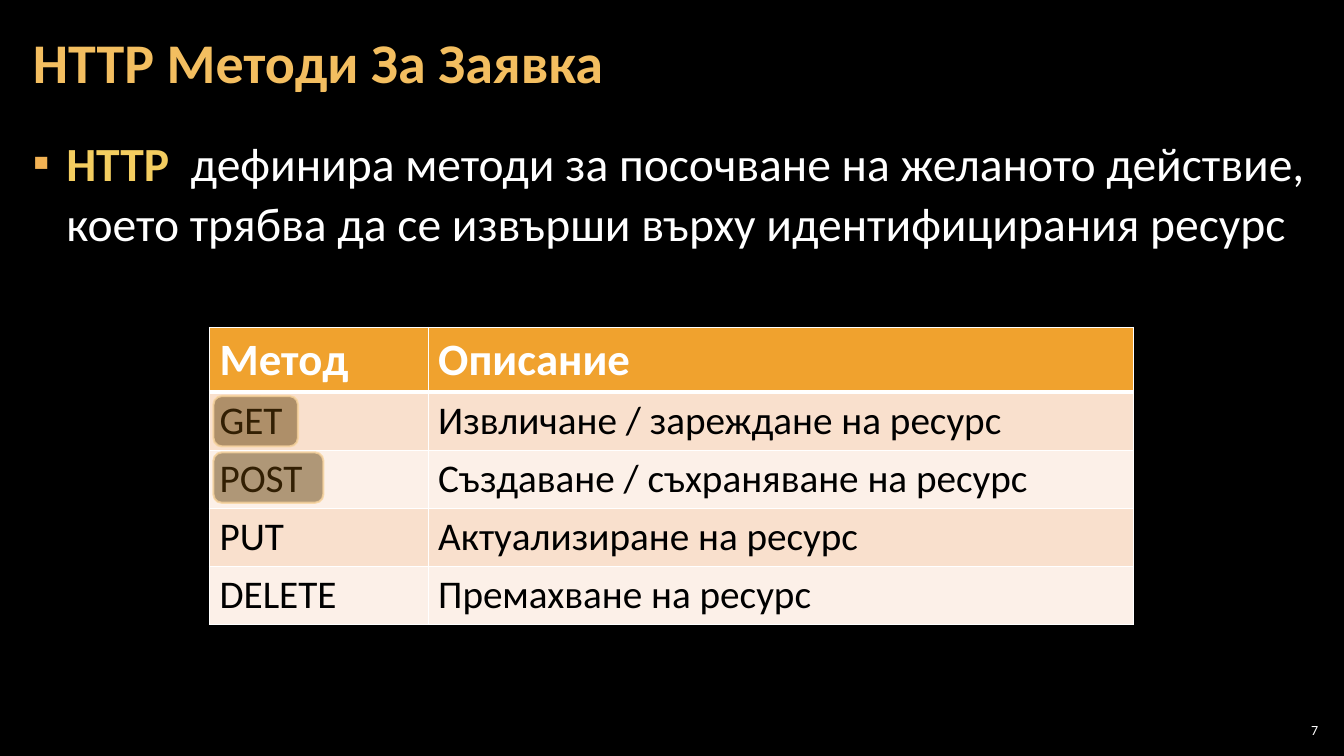
from lxml.etree import SubElement
from pptx import Presentation
from pptx.dml.color import RGBColor
from pptx.enum.shapes import MSO_SHAPE
from pptx.enum.text import MSO_ANCHOR, MSO_AUTO_SIZE, PP_ALIGN
from pptx.oxml.ns import qn
from pptx.util import Cm, Pt

FONT = "Calibri"
COLORS = {
    "background": "000000",
    "title": "F3BE60",
    "bullet": "F2B254",
    "keyword": "F3CD60",
    "white": "FFFFFF",
    "black": "000000",
    "header": "F0A22E",
    "odd row": "F9E0CD",
    "even row": "FCF0E8",
    "highlight": "643F07",
    "highlight line": "F8D49E",
}
METHODS = [
    ("Метод", "Описание"),
    ("GET", "Извличане / зареждане на ресурс"),
    ("POST", "Създаване / съхраняване на ресурс"),
    ("PUT", "Актуализиране на ресурс"),
    ("DELETE", "Премахване на ресурс"),
]
TABLE_LEFT, TABLE_TOP = 5.28, 8.25
COLUMN_WIDTHS = (5.51, 17.78)
HEADER_HEIGHT, ROW_HEIGHT = 1.63, 1.46


def color(name):
    return RGBColor.from_string(COLORS[name])


def set_font(font, size, color_name, bold=False):
    font.name = FONT
    font.size = Pt(size)
    font.bold = bold
    font.color.rgb = color(color_name)


presentation = Presentation()
presentation.slide_width, presentation.slide_height = Cm(33.87), Cm(19.05)
slide = presentation.slides.add_slide(presentation.slide_layouts[1])
slide.background.fill.solid()
slide.background.fill.fore_color.rgb = color("background")

# Title and body placeholders
title, body = slide.placeholders
for shape, top, height, anchor in (
    (title, 0.1, 3.07, MSO_ANCHOR.MIDDLE),
    (body, 3.2, 15.47, MSO_ANCHOR.TOP),
):
    shape.left, shape.top, shape.width, shape.height = Cm(0.53), Cm(top), Cm(32.79), Cm(height)
    frame = shape.text_frame
    frame.auto_size = MSO_AUTO_SIZE.NONE
    frame.word_wrap = True
    frame.vertical_anchor = anchor
    frame.margin_left = frame.margin_right = Cm(0.3)
    frame.margin_top = frame.margin_bottom = Cm(0.1)

title.text_frame.text = "HTTP Методи За Заявка"
paragraph = title.text_frame.paragraphs[0]
paragraph.alignment = PP_ALIGN.LEFT
paragraph.line_spacing = 0.9
set_font(paragraph.font, 40, "title", bold=True)

paragraph = body.text_frame.paragraphs[0]
paragraph.line_spacing = 1.05
paragraph.space_before = Pt(0)
paragraph.space_after = Pt(6)
properties = paragraph._p.get_or_add_pPr()
properties.set("marL", str(Cm(0.84)))
properties.set("indent", str(-Cm(0.84)))
bullet_color = SubElement(properties, qn("a:buClr"))
SubElement(bullet_color, qn("a:srgbClr"), val=COLORS["bullet"])
SubElement(properties, qn("a:buFont"), typeface=FONT)
SubElement(properties, qn("a:buChar"), char="▪")
paragraph.font.name = FONT
paragraph.font.size = Pt(34)
for text, color_name, bold in (
    ("HTTP ", "keyword", True),
    (" дефинира методи за посочване на желаното действие, "
     "което трябва да се извърши върху идентифицирания ресурс", "white", False),
):
    run = paragraph.add_run()
    run.text = text
    run.font.bold = bold
    run.font.color.rgb = color(color_name)

# Table of methods
table = slide.shapes.add_table(
    len(METHODS), len(COLUMN_WIDTHS), Cm(TABLE_LEFT), Cm(TABLE_TOP),
    Cm(sum(COLUMN_WIDTHS)), Cm(HEADER_HEIGHT + ROW_HEIGHT * (len(METHODS) - 1)),
).table
for column, width in zip(table.columns, COLUMN_WIDTHS):
    column.width = Cm(width)
for row_index, texts in enumerate(METHODS):
    is_header = row_index == 0
    table.rows[row_index].height = Cm(HEADER_HEIGHT if is_header else ROW_HEIGHT)
    if is_header:
        fill_name = "header"
    else:
        fill_name = "odd row" if row_index % 2 else "even row"
    for column_index, text in enumerate(texts):
        cell = table.cell(row_index, column_index)
        cell.text = text
        paragraph = cell.text_frame.paragraphs[0]
        if is_header:
            set_font(paragraph.font, 32, "white", bold=True)
        else:
            set_font(paragraph.font, 28, "black")
        for side in ("L", "R", "T", "B"):
            is_thick = (side == "B" and is_header) or (side == "T" and row_index == 1)
            border = SubElement(cell._tc.get_or_add_tcPr(), qn(f"a:ln{side}"),
                                w=str(Pt(3 if is_thick else 1)))
            border_fill = SubElement(border, qn("a:solidFill"))
            SubElement(border_fill, qn("a:srgbClr"), val=COLORS["white"])
        cell.fill.solid()
        cell.fill.fore_color.rgb = color(fill_name)

# Translucent highlights over GET and POST
for index, width in enumerate((2.13, 2.77)):
    highlight = slide.shapes.add_shape(
        MSO_SHAPE.ROUNDED_RECTANGLE, Cm(5.38), Cm(9.98 + 1.42 * index), Cm(width), Cm(1.27))
    highlight.shadow.inherit = False
    highlight.fill.solid()
    highlight.fill.fore_color.rgb = color("highlight")
    highlight.line.color.rgb = color("highlight line")
    highlight.line.width = Pt(1.5)
    fill_color, line_color = highlight._element.spPr.iter(qn("a:srgbClr"))
    SubElement(fill_color, qn("a:alpha"), val="50000")
    SubElement(line_color, qn("a:alpha"), val="80000")

# Slide number
number = slide.shapes.add_textbox(Cm(32.13), Cm(18.14), Cm(1.19), Cm(0.53))
frame = number.text_frame
frame.word_wrap = True
frame.vertical_anchor = MSO_ANCHOR.MIDDLE
frame.margin_left = frame.margin_right = frame.margin_top = frame.margin_bottom = Cm(0.1)
frame.text = "7"
paragraph = frame.paragraphs[0]
paragraph.alignment = PP_ALIGN.RIGHT
set_font(paragraph.font, 10, "white")

presentation.save("out.pptx")
